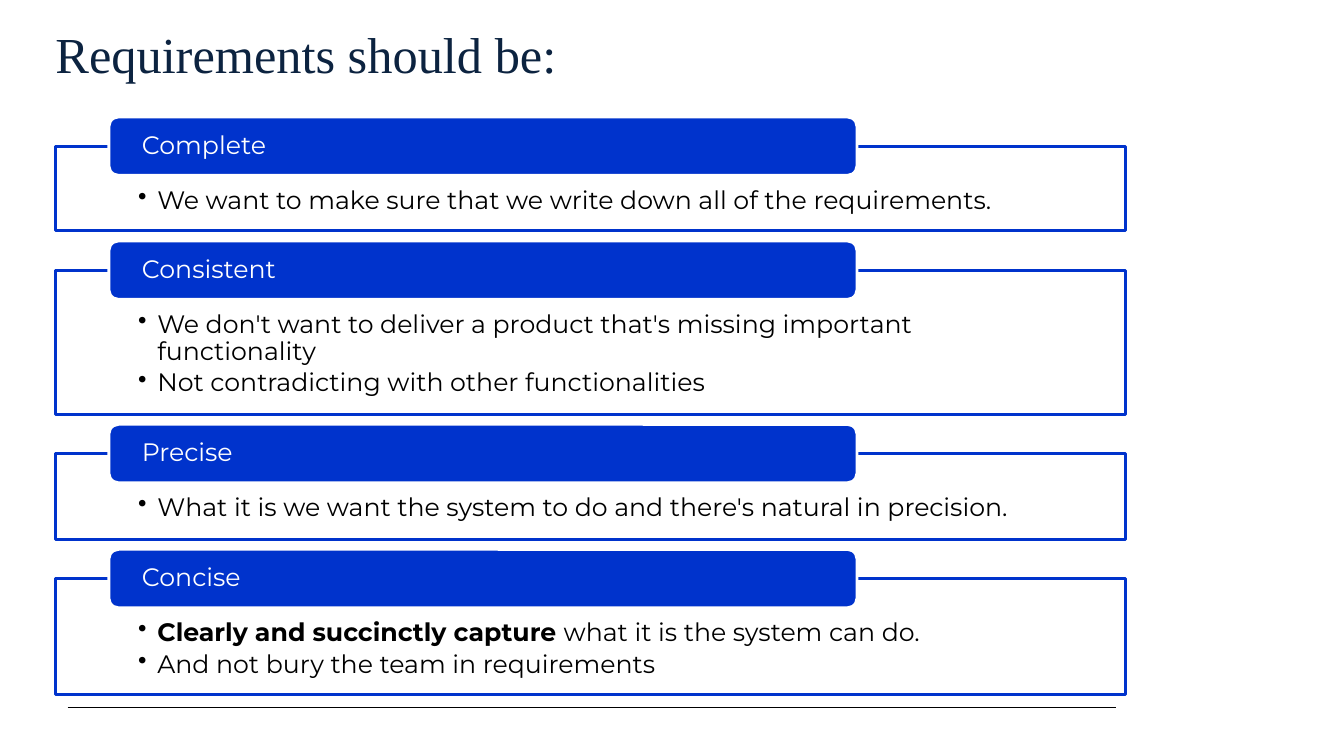
import dataclasses

import lxml.etree
import pptx
import pptx.dml.color
import pptx.enum.shapes
import pptx.enum.text
import pptx.oxml.ns
import pptx.util

PX = 9144  # EMU in one px, 100 px to the inch


@dataclasses.dataclass(frozen=True)
class Theme:
    navy: str = "0C2340"
    blue: str = "0033CC"
    white: str = "FFFFFF"
    black: str = "000000"
    serif: str = "Times New Roman"
    sans: str = "Montserrat"
    title: int = 36
    body: int = 18
    edge: int = 2
    rule: float = 0.75


THEME = Theme()
KIND = pptx.enum.shapes.MSO_SHAPE
ANCHOR = pptx.enum.text.MSO_ANCHOR

# Heading, card height, bullets as lists of (text, bold)
CARDS = [
    ("Complete", 113, [
        [("We want to make sure that we write down all of the requirements.", False)],
    ]),
    ("Consistent", 172, [
        [("We don't want to deliver a product that's missing important functionality", False)],
        [("Not contradicting with other functionalities", False)],
    ]),
    ("Precise", 114, [
        [("What it is we want the system to do and there's natural in precision.", False)],
    ]),
    ("Concise", 144, [
        [("Clearly and succinctly capture ", True), ("what it is the system can do.", False)],
        [("And not bury the team in requirements", False)],
    ]),
]


def scale(*px):
    return [n * PX for n in px]


def color(hue):
    return pptx.dml.color.RGBColor.from_string(hue)


def style(run, face, size, hue, bold=False):
    font = run.font
    font.name, font.size, font.bold = face, pptx.util.Pt(size), bold
    font.color.rgb = color(hue)


def inset(frame, left, top, right, bottom, anchor):
    frame.word_wrap = True
    frame.margin_left, frame.margin_top, frame.margin_right, frame.margin_bottom = scale(
        left, top, right, bottom)
    frame.vertical_anchor = anchor


def panel(slide, kind, box, fill, line):
    shape = slide.shapes.add_shape(kind, *scale(*box))
    shape.shadow.inherit = False
    shape.fill.solid()
    shape.fill.fore_color.rgb = color(fill)
    shape.line.color.rgb = color(line)
    shape.line.width = pptx.util.Pt(THEME.edge)
    return shape


def layout(para):
    para.alignment = pptx.enum.text.PP_ALIGN.LEFT
    para.line_spacing = 0.9


def bullet(para):
    """Give the paragraph a round bullet with a hanging indent."""
    props = para._p.get_or_add_pPr()
    props.set("marL", str(19 * PX))
    props.set("indent", str(-19 * PX))
    mark = lxml.etree.SubElement(props, pptx.oxml.ns.qn("a:buChar"))
    mark.set("char", "•")


def title(slide, box, text):
    frame = slide.shapes.add_textbox(*scale(*box)).text_frame
    inset(frame, 0, 6, 10, 5, ANCHOR.TOP)
    frame.text = text
    style(frame.paragraphs[0].runs[0], THEME.serif, THEME.title, THEME.navy)


def card(slide, box, head, points):
    """Draw a bordered box of bullets with a heading tab over its top edge."""
    left, top, width, height = box
    tall = 58
    half = tall // 2

    frame = panel(slide, KIND.RECTANGLE, (left, top + half, width, height - half),
                  THEME.white, THEME.blue).text_frame
    inset(frame, 82, 41, 82, 14, ANCHOR.TOP)
    for i, parts in enumerate(points):
        para = frame.add_paragraph() if i else frame.paragraphs[0]
        layout(para)
        para.space_after = pptx.util.Pt(3)
        bullet(para)
        for text, bold in parts:
            run = para.add_run()
            run.text = text
            style(run, THEME.sans, THEME.body, THEME.black, bold)

    tab = panel(slide, KIND.ROUNDED_RECTANGLE, (left + 53, top, width * 7 // 10, tall),
                THEME.blue, THEME.white)
    frame = tab.text_frame
    inset(frame, 30, 0, 30, 0, ANCHOR.MIDDLE)
    frame.text = head
    layout(frame.paragraphs[0])
    style(frame.paragraphs[0].runs[0], THEME.sans, THEME.body, THEME.white)


def stack(slide, box, gap):
    left, top, width = box
    for head, height, points in CARDS:
        card(slide, (left, top, width, height), head, points)
        top += height + gap


def rule(slide, left, right, y):
    line = slide.shapes.add_connector(
        pptx.enum.shapes.MSO_CONNECTOR.STRAIGHT, *scale(left, y, right, y))
    line.line.color.rgb = color(THEME.black)
    line.line.width = pptx.util.Pt(THEME.rule)
    lxml.etree.SubElement(line._element.spPr, pptx.oxml.ns.qn("a:effectLst"))


def main():
    deck = pptx.Presentation()
    deck.slide_width, deck.slide_height = scale(1333, 750)
    slide = deck.slides.add_slide(deck.slide_layouts[6])
    rule(slide, 67, 1107, 702)
    title(slide, (55, 17, 1041, 93), "Requirements should be:")
    stack(slide, (55, 116, 1061), 10)
    deck.save("out.pptx")


if __name__ == "__main__":
    main()
